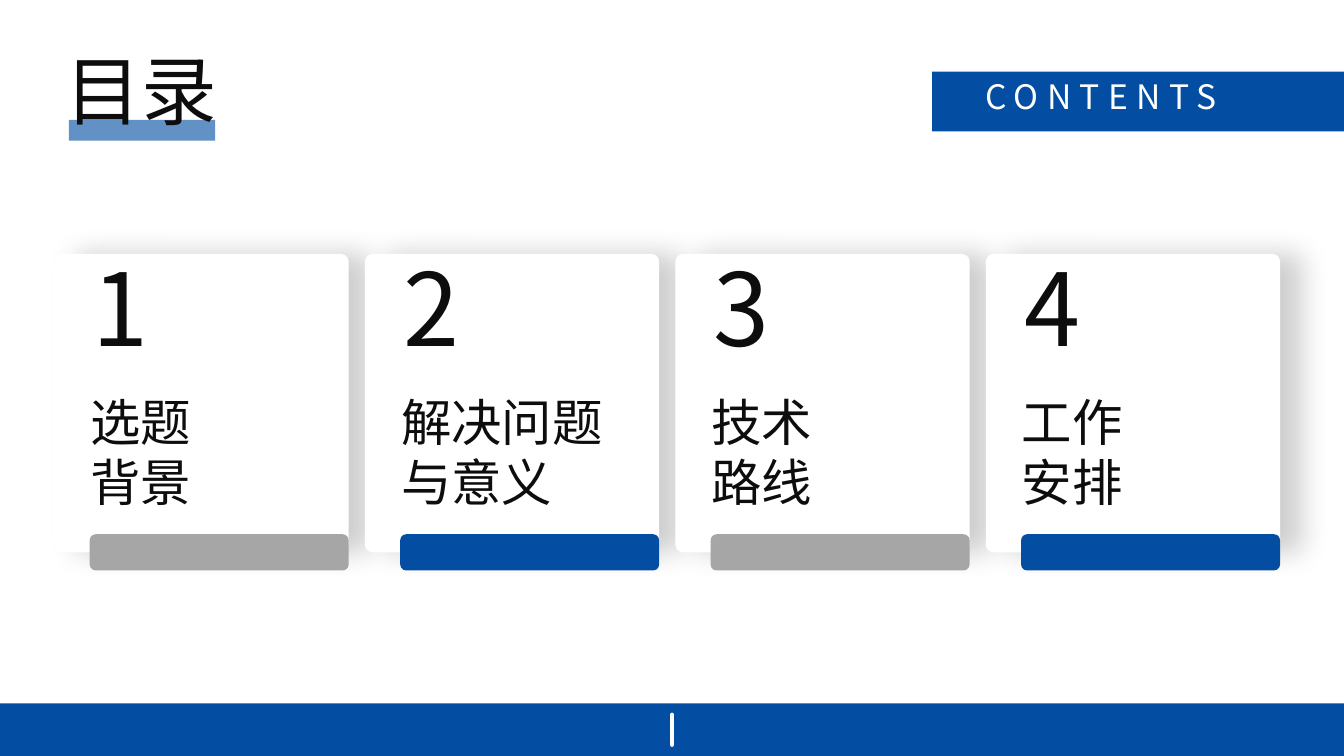
"""Build a contents slide with four numbered chapter cards."""
from lxml import etree
from pptx import Presentation
from pptx.dml.color import RGBColor
from pptx.enum.shapes import MSO_CONNECTOR, MSO_SHAPE
from pptx.enum.text import MSO_ANCHOR, PP_ALIGN
from pptx.oxml.ns import qn
from pptx.util import Pt

RECT = MSO_SHAPE.RECTANGLE
ROUND = MSO_SHAPE.ROUNDED_RECTANGLE
STRAIGHT = MSO_CONNECTOR.STRAIGHT
TOP = MSO_ANCHOR.TOP
LEFT, CENTER = PP_ALIGN.LEFT, PP_ALIGN.CENTER

BLUE, GREY, INK, WHITE = "034EA2", "A6A6A6", "0D0D0D", "FFFFFF"
WIDTH, HEIGHT = 960, 540
CARD_LEFT, CARD_STEP = 38.9, 221.76
CHAPTERS = [
    ("选题", "背景"),
    ("解决问题", "与意义"),
    ("技术", "路线"),
    ("工作", "安排"),
]


def rgb(value):
    return RGBColor.from_string(value)


class Deck:
    """Holds the font and the current slide, and draws each kind of element."""

    def __init__(self, slide, font):
        self.s = slide
        self.font = font

    def box(self, x, y, w, h, fill, kind=RECT, adj=None, alpha=None):
        sp = self.s.shapes.add_shape(kind, Pt(x), Pt(y), Pt(w), Pt(h))
        sp.shadow.inherit = False
        sp.fill.solid()
        sp.fill.fore_color.rgb = rgb(fill)
        sp.line.fill.background()
        if adj is not None:
            sp.adjustments[0] = adj
        if alpha:
            color = sp._element.spPr.find(".//" + qn("a:srgbClr"))
            etree.SubElement(color, qn("a:alpha"), val=str(alpha * 1000))
        return sp

    def shadow(self, sp, color, alpha, blur, dist):
        effects = sp._element.spPr.find(qn("a:effectLst"))
        outer = etree.SubElement(
            effects, qn("a:outerShdw"), blurRad=str(Pt(blur)),
            dist=str(Pt(dist)), dir="0", algn="l", rotWithShape="0")
        clr = etree.SubElement(outer, qn("a:srgbClr"), val=color)
        etree.SubElement(clr, qn("a:alpha"), val=str(alpha * 1000))

    def text(self, x, y, w, h, lines, size, color=INK, align=LEFT,
             spacing=None, tracking=0):
        sp = self.s.shapes.add_textbox(Pt(x), Pt(y), Pt(w), Pt(h))
        tf = sp.text_frame
        tf.word_wrap = False
        tf.vertical_anchor = TOP
        tf.text = "\n".join(lines)
        for p in tf.paragraphs:
            p.alignment = align
            if spacing:
                p.line_spacing = spacing
            for r in p.runs:
                r.font.size = Pt(size)
                r.font.name = self.font
                r.font.color.rgb = rgb(color)
                rpr = r._r.get_or_add_rPr()
                etree.SubElement(rpr, qn("a:ea"), typeface=self.font)
                if tracking:
                    rpr.set("spc", str(tracking * 100))

    def line(self, x1, y1, x2, y2, color, width):
        sp = self.s.shapes.add_connector(
            STRAIGHT, Pt(x1), Pt(y1), Pt(x2), Pt(y2))
        sp.line.color.rgb = rgb(color)
        sp.line.width = Pt(width)
        sp.line._get_or_add_ln().set("cap", "rnd")
        etree.SubElement(sp._element.spPr, qn("a:effectLst"))

    def card(self, x, number, lines, accent):
        panel = self.box(x, 181.4, 210.2, 213.1, WHITE, ROUND, 0.026)
        self.shadow(panel, INK, 20, 20, 15)
        width = 36 * max(map(len, lines)) + 15
        self.text(x + 18.7, 276, width, 94, lines, 36, spacing=Pt(43))
        self.text(x + 20.2, 185, 126.7, 96, [str(number)], 72,
                  spacing=0.85, tracking=4)
        self.box(x + 25.2, 381.6, 185, 25.9, accent, ROUND)


def main():
    prs = Presentation()
    prs.slide_width, prs.slide_height = Pt(WIDTH), Pt(HEIGHT)
    deck = Deck(prs.slides.add_slide(prs.slide_layouts[6]), "Noto Sans CJK SC")

    deck.box(0, 502.5, WIDTH, 37.5, BLUE)
    deck.box(49.2, 85.7, 104.4, 14.8, BLUE, alpha=62)
    deck.text(38.9, 28, 123.8, 85, ["目录"], 54, align=CENTER)
    deck.box(665.8, 51.2, 294.2, 42.7, BLUE)
    deck.text(688.3, 50.7, 195.8, 42, ["CONTENTS"], 24, WHITE, CENTER,
              tracking=6)

    for i, lines in enumerate(CHAPTERS):
        accent = BLUE if i % 2 else GREY
        deck.card(CARD_LEFT + i * CARD_STEP, i + 1, lines, accent)

    deck.line(WIDTH / 2, 510.5, WIDTH / 2, 532, WHITE, 3)
    prs.save("out.pptx")


if __name__ == "__main__":
    main()
